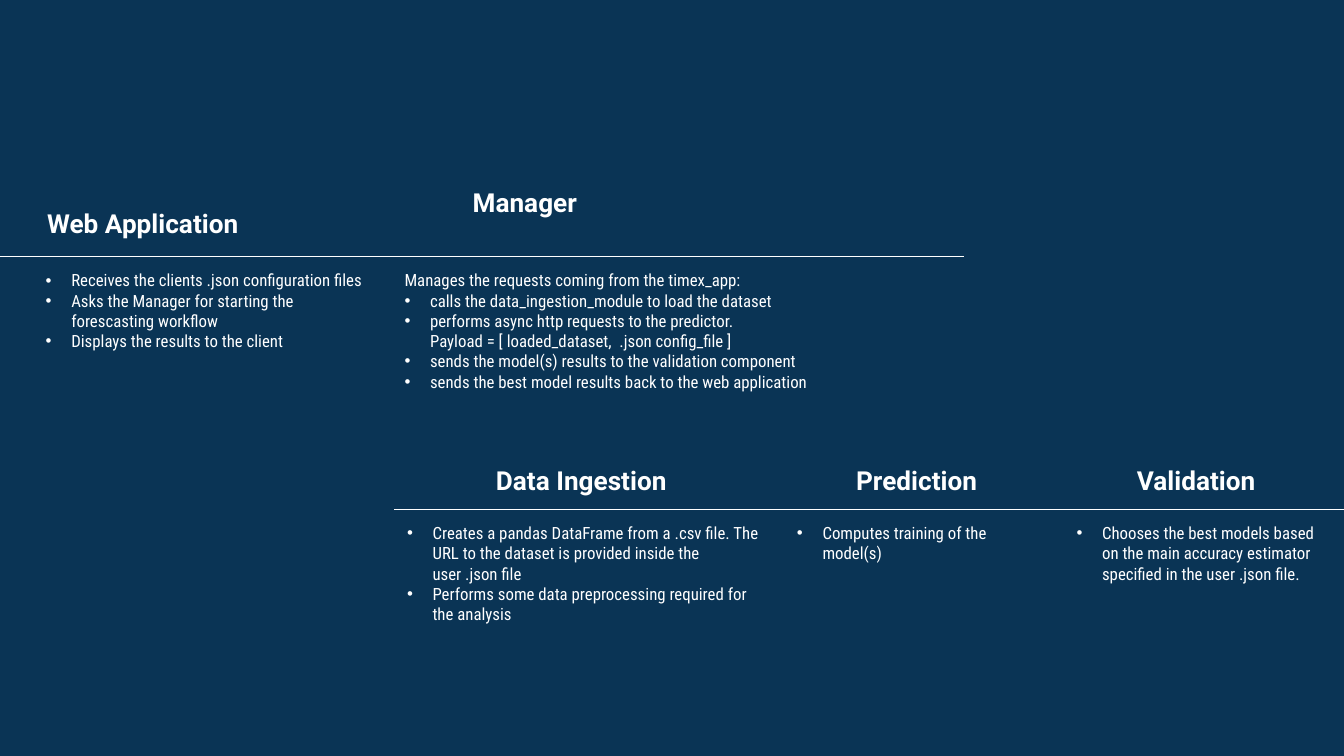
from lxml.etree import SubElement
from pptx import Presentation
from pptx.dml.color import RGBColor
from pptx.enum.shapes import MSO_CONNECTOR
from pptx.enum.text import MSO_ANCHOR, MSO_AUTO_SIZE, PP_ALIGN
from pptx.oxml.ns import qn
from pptx.util import Inches, Pt

NAVY = RGBColor(0x0A, 0x34, 0x55)
WHITE = RGBColor(0xFF, 0xFF, 0xFF)

deck = Presentation()
deck.slide_width = Inches(10)
deck.slide_height = deck.slide_width * 9 // 16
COLUMN = deck.slide_width / 16
ROW = deck.slide_height / 9
COLUMN = ROW = deck.slide_width / 10
UPPER_RULE, LOWER_RULE = 1.91, 3.79
WEB, MIDDLE, PREDICTION, VALIDATION = 0.25, 2.93, 5.78, 7.91
INDENT = Inches(0.19)

page = deck.slides.add_slide(deck.slide_layouts.get_by_name("Comparison"))
page.background.fill.solid()
page.background.fill.fore_color.rgb = NAVY
title = page.shapes.title
bodies = [box for box in page.placeholders if box.placeholder_format.idx in (1, 2, 3, 4)]


def place(box, left, top, width, height, anchor):
    box.left, box.top = round(left * COLUMN), round(top * ROW)
    box.width, box.height = round(width * COLUMN), round(height * ROW)
    frame = box.text_frame
    frame.word_wrap = True
    frame.auto_size = MSO_AUTO_SIZE.NONE
    frame.vertical_anchor = anchor
    frame.margin_left = frame.margin_right = Inches(0.1)
    frame.margin_top = frame.margin_bottom = Inches(0.1)
    return frame


def write(para, text, font_name, size, bold, align, bullet):
    para.text = text
    para.alignment = align
    para.line_spacing = 1.0
    para.space_before = para.space_after = Pt(0)
    properties = para._p.get_or_add_pPr()
    properties.set("marL", str(INDENT if bullet else 0))
    properties.set("indent", str(-INDENT if bullet else 0))
    if bullet:
        colour = SubElement(properties, qn("a:buClr"))
        SubElement(colour, qn("a:srgbClr"), val=str(WHITE))
        SubElement(properties, qn("a:buFont"), typeface="Arial")
        SubElement(properties, qn("a:buChar"), char="•")
    else:
        SubElement(properties, qn("a:buNone"))
    para.font.name = font_name
    para.font.size = Pt(size)
    para.font.bold = bold
    para.font.color.rgb = WHITE


headings = [
    ("Web Application", WEB, 0.92, 2.67, 0.96, PP_ALIGN.LEFT),
    ("Manager", MIDDLE, 1.08, 1.95, 0.64, PP_ALIGN.CENTER),
    ("Data Ingestion ", 2.92, 3.19, 2.86, 0.6, PP_ALIGN.CENTER),
    ("Prediction ", PREDICTION, 3.19, 2.13, 0.6, PP_ALIGN.CENTER),
    ("Validation ", VALIDATION, 3.19, 2.03, 0.6, PP_ALIGN.CENTER),
]
for text, left, top, width, height, align in headings:
    box = title if left == WEB else page.shapes.add_textbox(0, 0, 0, 0)
    frame = place(box, left, top, width, height, MSO_ANCHOR.BOTTOM)
    write(frame.paragraphs[0], text, "Roboto", 14, True, align, False)

lists = [
    (0.24, UPPER_RULE, 2.67, 1.15, None, [
        "Receives the clients .json configuration files",
        "Asks the Manager for starting the forescasting workflow",
        "Displays the results to the client",
    ]),
    (2.91, UPPER_RULE, 4.48, 1.04, "Manages the requests coming from the timex_app:", [
        "calls the data_ingestion_module to load the dataset",
        "performs async http requests to the predictor.\n"
        "Payload = [ loaded_dataset,  .json config_file ]",
        "sends the model(s) results to the validation component",
        "sends the best model results back to the web application",
    ]),
    (5.83, LOWER_RULE, 2.04, 0.52, None, ["Computes training of the model(s)"]),
    (VALIDATION, LOWER_RULE, 2.03, 0.88, None, [
        "Chooses the best models based on the main accuracy estimator "
        "specified in the user .json file.",
    ]),
    (MIDDLE, LOWER_RULE, 2.85, 0.92, None, [
        "Creates a pandas DataFrame from a .csv file. The URL to the dataset "
        "is provided inside the user .json file",
        "Performs some data preprocessing required for the analysis",
    ]),
]
for left, top, width, height, lead, items in lists:
    box = bodies.pop(0) if bodies else page.shapes.add_textbox(0, 0, 0, 0)
    frame = place(box, left, top, width, height, MSO_ANCHOR.TOP)
    lines = [(lead, False)] if lead else []
    lines += [(item, True) for item in items]
    for number, (text, bullet) in enumerate(lines):
        para = frame.add_paragraph() if number else frame.paragraphs[0]
        write(para, text, "Roboto Condensed", 9, False, PP_ALIGN.LEFT, bullet)

for start, end, height in [(7.17, 0, UPPER_RULE), (10, MIDDLE, LOWER_RULE)]:
    rule = page.shapes.add_connector(
        MSO_CONNECTOR.STRAIGHT,
        round(start * COLUMN), round(height * ROW), round(end * COLUMN), round(height * ROW),
    )
    rule.line.color.rgb = WHITE
    rule.line.width = Pt(0.75)
    SubElement(rule._element.spPr, qn("a:effectLst"))

deck.save("out.pptx")
